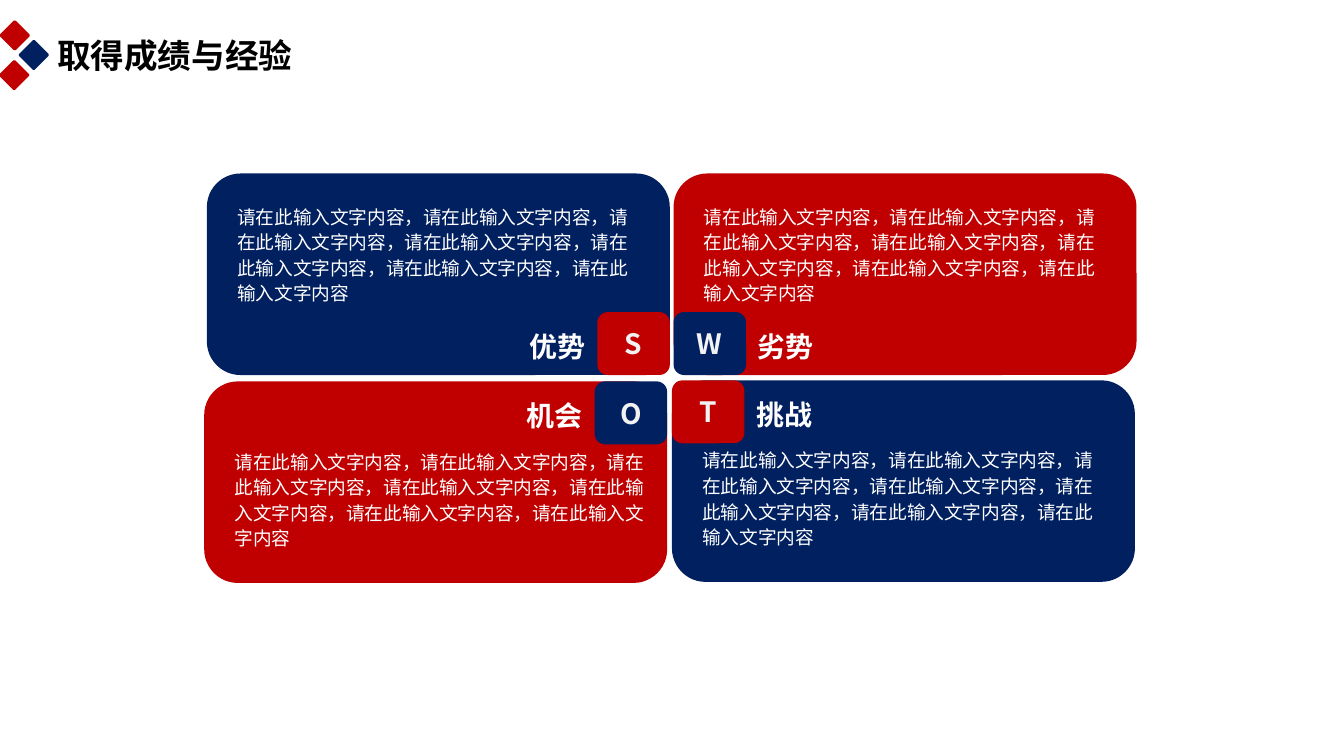
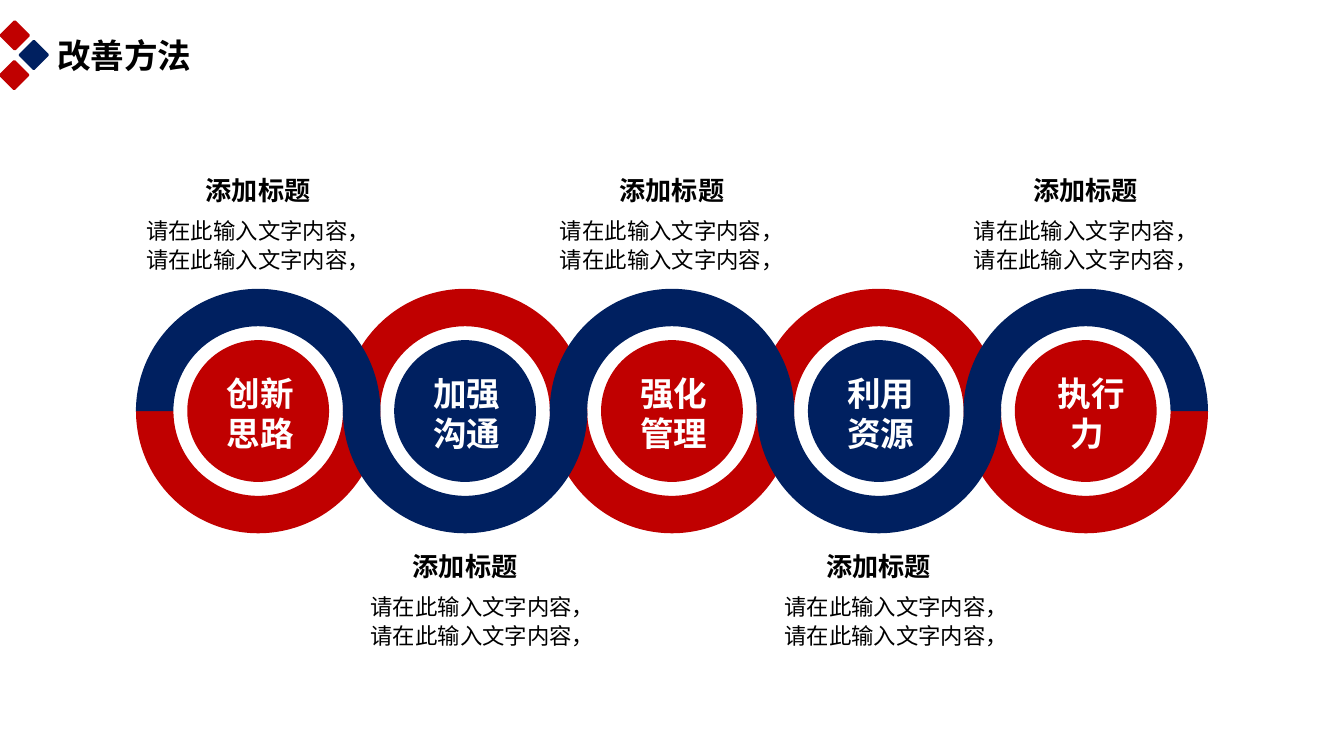
from lxml import etree
from pptx import Presentation
from pptx import util as u
from pptx.dml.color import RGBColor
from pptx.enum import shapes, text
from pptx.oxml import ns

Cm, Pt = u.Cm, u.Pt
MSO, ALIGN, ANCHOR, AUTO = (shapes.MSO_SHAPE, text.PP_ALIGN,
                            text.MSO_ANCHOR, text.MSO_AUTO_SIZE)

NAVY = RGBColor(0x00, 0x20, 0x60)
RED = RGBColor(0xC0, 0x00, 0x00)
WHITE = RGBColor(0xFF, 0xFF, 0xFF)
PALE = RGBColor(0xF2, 0xF2, 0xF2)
BLACK = RGBColor(0x00, 0x00, 0x00)
FONT = "Noto Sans CJK SC"

PHRASE = "请在此输入文字内容"
INSETS = (0.18, 0.1, 0.18, 0.1)
PANEL_W, PANEL_H = 8.75, 3.81
BADGE_W, BADGE_H = 1.37, 1.19
LABEL_W, LABEL_H = 1.73, 0.91
RING, PITCH, DISC = 4.62, 3.91, 2.68
CORNER = [(-0.14, -0.92), (-0.06, -1), (0.06, -1), (0.14, -0.92)]


def paint(sp, fill):
    sp.shadow.inherit = False
    sp.line.fill.background()
    if fill is None:
        sp.fill.background()
    else:
        sp.fill.solid()
        sp.fill.fore_color.rgb = fill
    return sp


def add_shape(parent, kind, x, y, w, h, fill=None):
    return paint(parent.shapes.add_shape(kind, Cm(x), Cm(y), Cm(w), Cm(h)), fill)


def write(sp, words, size, color, bold=False, align=ALIGN.LEFT, spacing=None,
          anchor=ANCHOR.TOP, insets=INSETS, wrap=True, grow=True):
    tf = sp.text_frame
    tf.word_wrap = wrap
    tf.auto_size = AUTO.SHAPE_TO_FIT_TEXT if grow else AUTO.NONE
    tf.vertical_anchor = anchor
    tf.margin_left, tf.margin_top, tf.margin_right, tf.margin_bottom = map(Cm, insets)
    p = tf.paragraphs[0]
    p.alignment = align
    if spacing:
        p.line_spacing = spacing
    r = p.add_run()
    r.text = words
    r.font.size = Pt(size)
    r.font.bold = bold
    r.font.color.rgb = color
    r.font.name = FONT
    ea = etree.SubElement(r.font._element, ns.qn("a:ea"))
    ea.set("typeface", FONT)


def add_text(s, x, y, w, h, words, size, **style):
    sp = s.shapes.add_textbox(Cm(x), Cm(y), Cm(w), Cm(h))
    write(sp, words, size, BLACK, **style)


def add_diamond(parent, cx, cy, radius, fill):
    points = []
    corner = CORNER
    for _ in range(4):
        points += [(Cm(cx + radius * x), Cm(cy + radius * y)) for x, y in corner]
        corner = [(-y, x) for x, y in corner]
    builder = parent.shapes.build_freeform(*points[0])
    builder.add_line_segments(points[1:], close=True)
    paint(builder.convert_to_shape(), fill)


def add_header(s, title):
    add_text(s, 0.9, 0.56, 6.73, 0.97, title, 18, bold=True)
    g = s.shapes.add_group_shape()
    for cx, cy, fill in [(0.28, 0.67, RED), (0.64, 1.04, NAVY), (0.27, 1.42, RED)]:
        add_diamond(g, cx, cy, 0.28, fill)


def add_panel(s, x, y, letter, label, fill, badge_fill, body_w, left, top):
    g = s.shapes.add_group_shape()
    add_shape(g, MSO.ROUNDED_RECTANGLE, x, y, PANEL_W, PANEL_H, fill)

    badge_x = x + PANEL_W - BADGE_W if left else x
    badge_y = y + PANEL_H - BADGE_H if top else y
    badge = add_shape(g, MSO.ROUNDED_RECTANGLE, badge_x, badge_y,
                      BADGE_W, BADGE_H, badge_fill)
    write(badge, letter, 15, PALE, bold=True, align=ALIGN.CENTER,
          anchor=ANCHOR.MIDDLE, grow=False)

    label_x = badge_x - LABEL_W if left else badge_x + BADGE_W
    name = add_shape(g, MSO.ROUNDED_RECTANGLE, label_x, badge_y + 0.18, LABEL_W, LABEL_H)
    write(name, label, 15, WHITE, bold=True,
          align=ALIGN.RIGHT if left else ALIGN.LEFT)

    body = add_shape(g, MSO.ROUNDED_RECTANGLE, x + 0.28, y + (0.33 if top else 1.03),
                     body_w, 2.36)
    write(body, "，".join([PHRASE] * 7), 10, WHITE, spacing=1.14)


def swot_slide(prs):
    s = prs.slides.add_slide(prs.slide_layouts[6])
    add_panel(s, 3.91, 3.28, "S", "优势", NAVY, RED, 8.1, True, True)
    add_panel(s, 3.86, 7.21, "O", "机会", RED, NAVY, 8.36, True, False)
    add_panel(s, 12.73, 3.28, "W", "劣势", RED, NAVY, 8.15, False, True)
    add_panel(s, 12.7, 7.19, "T", "挑战", NAVY, RED, 8.15, False, False)
    add_header(s, "取得成绩与经验")


def add_arc(s, x, y, fill, lower):
    sp = add_shape(s, MSO.BLOCK_ARC, x, y, RING, RING, fill)
    for i, value in enumerate((108, 0, 0.153)):
        sp.adjustments[i] = value
    sp.rotation = 180 if lower else 0


def add_disc(s, x, y, words, fill):
    gap = (RING - DISC) / 2
    sp = add_shape(s, MSO.OVAL, x + gap, y + gap, DISC, DISC, fill)
    write(sp, words, 18, WHITE, bold=True, align=ALIGN.CENTER, anchor=ANCHOR.MIDDLE,
          insets=(0.11, 0.11, 0.04, 0.04), grow=False)


def add_caption(s, cx, y, shift):
    add_text(s, cx - 1.22, y, 2.44, 0.79, "添加标题", 14, bold=True,
             align=ALIGN.CENTER, wrap=False)
    add_text(s, cx - 2.39 + shift, y + 0.75, 4.78, 1.3, (PHRASE + "，") * 2, 12,
             align=ALIGN.CENTER, spacing=1.1)


def add_chain(s, x, y, steps):
    lefts = [x + i * PITCH for i in range(len(steps))]
    for fill in (RED, NAVY):
        for i, left in enumerate(lefts):
            add_arc(s, left, y, fill, lower=(i % 2 == 0) == (fill == RED))
    for i, (left, words) in enumerate(zip(lefts, steps)):
        below = i % 2 == 1
        add_disc(s, left, y, words, NAVY if below else RED)
        add_caption(s, left + RING / 2, y + (4.85 if below else -2.26),
                    0.33 if below else 0)


def methods_slide(prs):
    s = prs.slides.add_slide(prs.slide_layouts[6])
    add_chain(s, 2.57, 5.46, ["创新思路", "加强沟通", "强化管理", "利用资源", " 执行 力"])
    add_header(s, "改善方法")


def main():
    prs = Presentation()
    prs.slide_width, prs.slide_height = Cm(25.4), Cm(14.29)
    swot_slide(prs)
    methods_slide(prs)
    prs.save("out.pptx")


if __name__ == "__main__":
    main()
